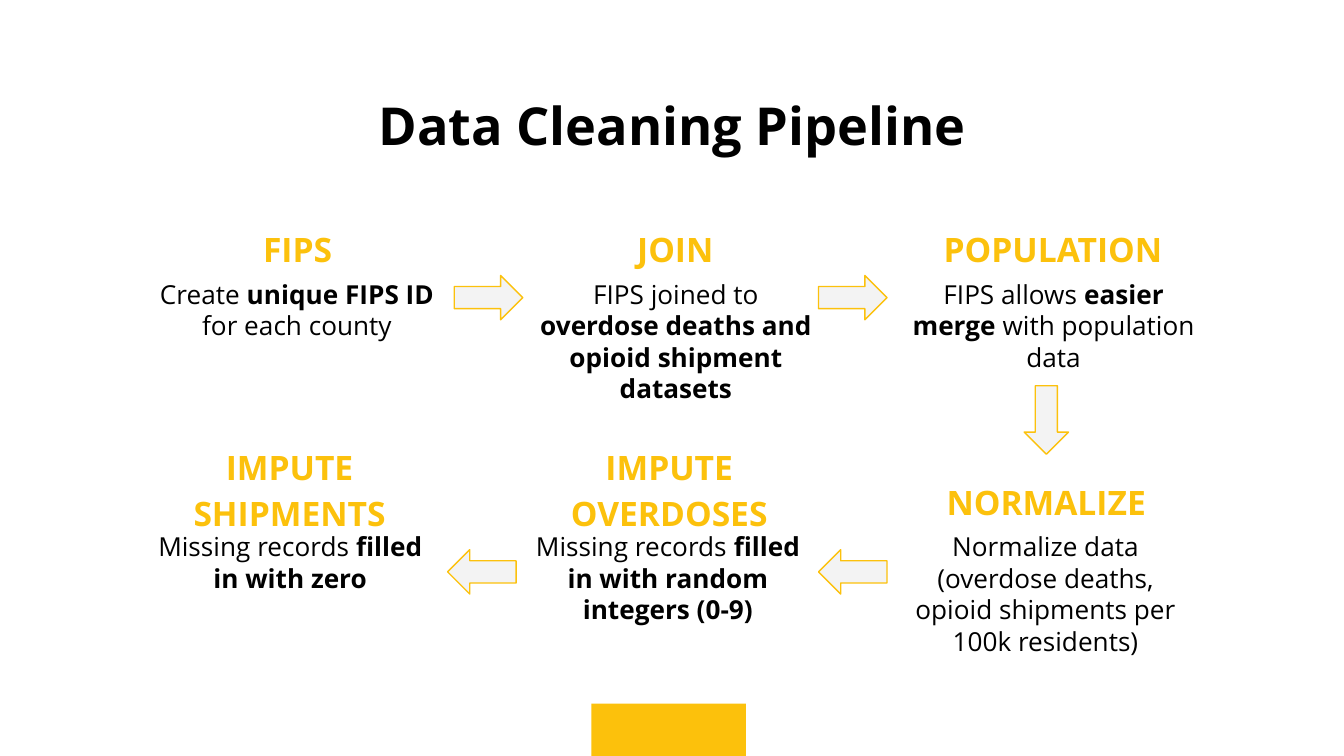
from pptx import Presentation
from pptx.dml.color import RGBColor
from pptx.enum.shapes import MSO_SHAPE
from pptx.enum.text import MSO_ANCHOR, MSO_AUTO_SIZE, PP_ALIGN
from pptx.util import Inches, Pt

YELLOW, BLACK, GREY = "FCC10C", "000000", "F3F3F3"


def color(hex_code):
    return RGBColor.from_string(hex_code)


def write(box, runs, size, hex_code, line_spacing=1.0):
    """Fill a box with one centred paragraph of (text, bold) runs."""
    frame = box.text_frame
    frame_format = {
        "word_wrap": True,
        "auto_size": MSO_AUTO_SIZE.NONE,
        "vertical_anchor": MSO_ANCHOR.TOP,
        "margin_left": Inches(0.1),
        "margin_right": Inches(0.1),
        "margin_top": Inches(0.1),
        "margin_bottom": Inches(0.1),
    }
    for key, value in frame_format.items():
        setattr(frame, key, value)
    paragraph = frame.paragraphs[0]
    paragraph.alignment = PP_ALIGN.CENTER
    paragraph.line_spacing = line_spacing
    for text, bold in runs:
        run = paragraph.add_run()
        run.text = text
        run_format = {"name": "Open Sans", "size": Pt(size), "bold": bold}
        for key, value in run_format.items():
            setattr(run.font, key, value)
        run.font.color.rgb = color(hex_code)


deck = Presentation()
deck.slide_width = Inches(10)
deck.slide_height = deck.slide_width * 9 // 16
slide = deck.slides.add_slide(deck.slide_layouts[5])

footer_height = Inches(0.39)
footer_block = slide.shapes.add_shape(
    MSO_SHAPE.RECTANGLE, Inches(4.4), deck.slide_height - footer_height,
    Inches(1.15), footer_height)
footer_block.shadow.inherit = False
footer_block.fill.solid()
footer_block.fill.fore_color.rgb = color(YELLOW)
footer_block.line.fill.background()

title = slide.shapes.title
title.left, title.top = Inches(0.99), Inches(0.59)
title.width, title.height = Inches(8.02), Inches(0.59)
write(title, [("Data Cleaning Pipeline", True)], 28, BLACK)

# Step: heading, its (left, top, width, height), then body left, top and runs
steps = [
    ("FIPS", (1.1, 1.56, 2.23, 0.44), 1.04, 1.97,
     [("Create ", False), ("unique FIPS ID ", True), ("for each county", False)]),
    ("JOIN", (3.91, 1.56, 2.23, 0.44), 3.86, 1.97,
     [("FIPS joined to ", False),
      ("overdose deaths and opioid shipment datasets", True)]),
    ("POPULATION", (6.72, 1.56, 2.23, 0.44), 6.67, 1.97,
     [("FIPS allows ", False), ("easier merge", True),
      (" with population data", False)]),
    ("NORMALIZE", (6.67, 3.44, 2.23, 0.44), 6.61, 3.85,
     [("Normalize data (overdose deaths, opioid shipments per 100k residents)",
       False)]),
    ("IMPUTE OVERDOSES", (3.68, 3.18, 2.6, 0.7), 3.8, 3.85,
     [("Missing records ", False),
      ("filled in with random integers (0-9)", True)]),
    ("IMPUTE SHIPMENTS", (1.04, 3.18, 2.23, 0.7), 0.99, 3.85,
     [("Missing records ", False), ("filled in with zero", True)]),
]
for heading, heading_area, body_left, body_top, body_runs in steps:
    heading_box = slide.shapes.add_textbox(*map(Inches, heading_area))
    write(heading_box, [(heading, True)], 18, YELLOW, 1.15)
    body_box = slide.shapes.add_textbox(
        Inches(body_left), Inches(body_top), Inches(2.34), Inches(0.7))
    write(body_box, body_runs, 14, BLACK)

# Arrows in pipeline order: left, top, rotation
for left, top, rotation in [
    (3.38, 2.05, 0), (6.09, 2.05, 0), (7.53, 2.96, 90),
    (6.09, 4.09, 180), (3.33, 4.09, 180),
]:
    arrow = slide.shapes.add_shape(
        MSO_SHAPE.RIGHT_ARROW, Inches(left), Inches(top), Inches(0.51), Inches(0.33))
    arrow.rotation = rotation
    arrow.shadow.inherit = False
    arrow.fill.solid()
    arrow.fill.fore_color.rgb = color(GREY)
    arrow.line.color.rgb = color(YELLOW)
    arrow.line.width = Pt(0.75)

deck.save("out.pptx")
